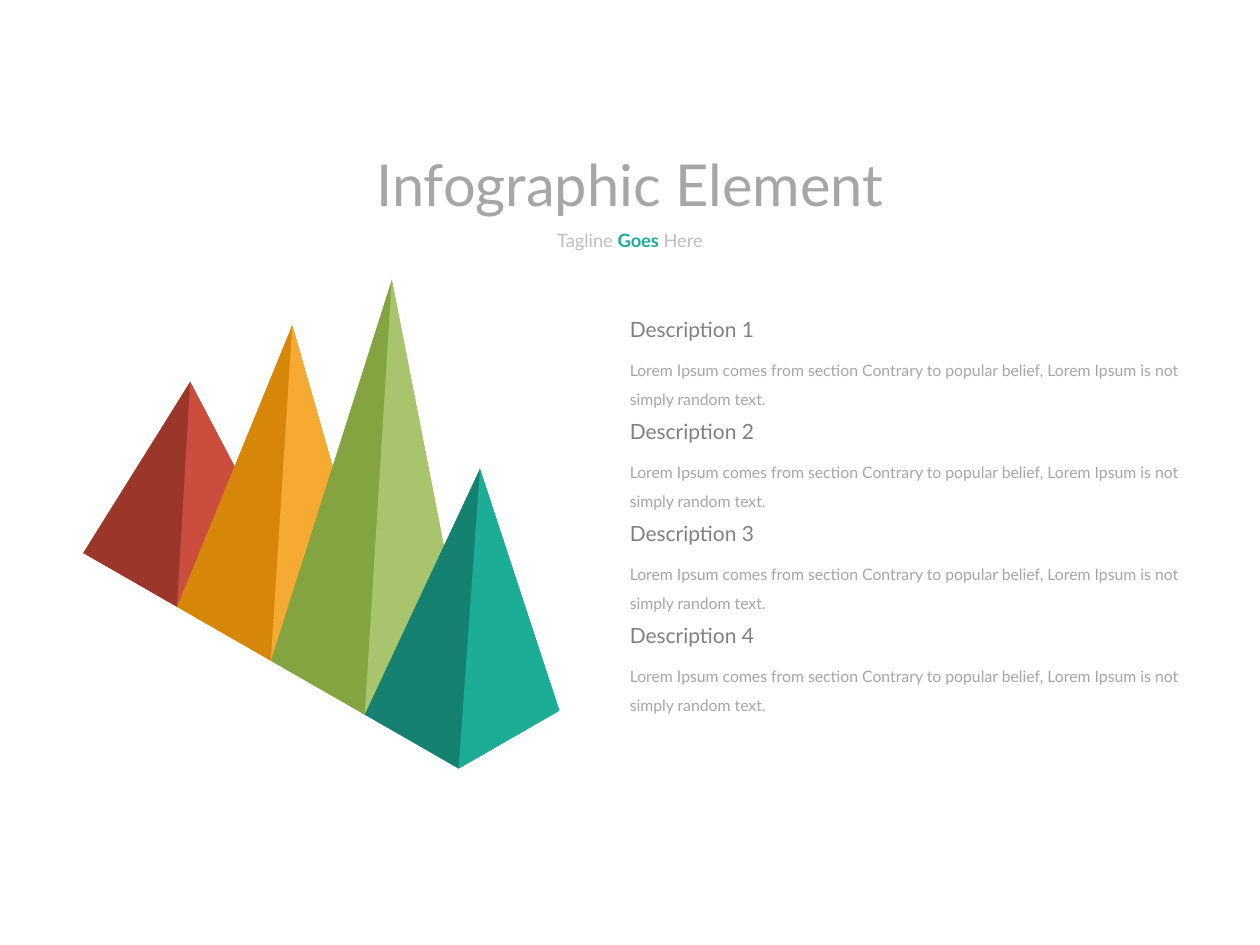
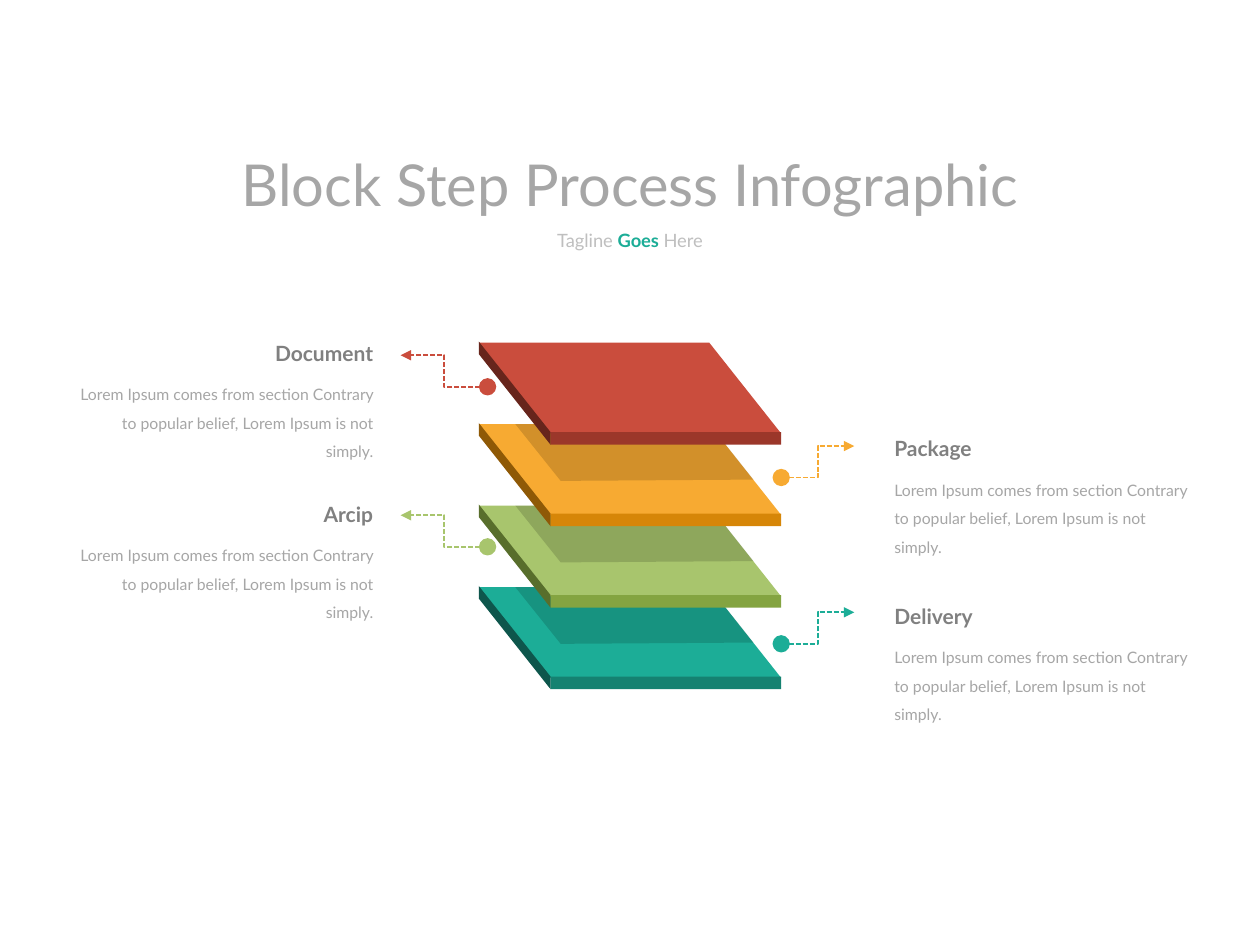
import dataclasses

import pptx
import pptx.dml.color
import pptx.enum.dml
import pptx.enum.shapes
import pptx.enum.text
import pptx.oxml
import pptx.oxml.ns
import pptx.util
from pptx.util import Inches

ALIGN = pptx.enum.text.PP_ALIGN


@dataclasses.dataclass(frozen=True)
class Tone:
    light: str
    mid: str
    dark: str


@dataclasses.dataclass(frozen=True)
class Theme:
    font: str = "Lato"
    title_size: float = 33
    tagline_size: float = 10.5
    heading_size: float = 12
    body_size: float = 9
    title: str = "A6A6A6"
    tagline: str = "BFBFBF"
    heading: str = "808080"
    body: str = "A6A6A6"
    shade: str = "000000"
    shade_opacity: int = 15
    red: Tone = Tone("CA4D3D", "9B372A", "67251C")
    orange: Tone = Tone("F7AA32", "D68608", "8F5906")
    green: Tone = Tone("A8C56D", "84A441", "586E2C")
    teal: Tone = Tone("1CAD97", "158271", "0E564C")


THEME = Theme()
TONES = (THEME.red, THEME.orange, THEME.green, THEME.teal)
HEADING_TO_BODY = 0.28


def rgb(color):
    return pptx.dml.color.RGBColor.from_string(color)


def write(sp, runs, *, size, color, bold=False, align=ALIGN.LEFT, spacing=None, wrap=False):
    tf = sp.text_frame
    tf.word_wrap = wrap
    tf.auto_size = pptx.enum.text.MSO_AUTO_SIZE.SHAPE_TO_FIT_TEXT
    tf.vertical_anchor = pptx.enum.text.MSO_ANCHOR.TOP
    p = tf.paragraphs[0]
    p.alignment = align
    if spacing:
        p.line_spacing = spacing
    if isinstance(runs, str):
        runs = [(runs, color, bold)]
    for text, run_color, run_bold in runs:
        r = p.add_run()
        r.text = text
        r.font.name = THEME.font
        r.font.size = pptx.util.Pt(size)
        r.font.bold = run_bold
        r.font.color.rgb = rgb(run_color)


def add_text(s, runs, left, top, width, height, **fmt):
    sp = s.shapes.add_textbox(Inches(left), Inches(top), Inches(width), Inches(height))
    write(sp, runs, **fmt)


def paint(sp, color, opacity=None):
    sp.shadow.inherit = False
    sp.fill.solid()
    sp.fill.fore_color.rgb = rgb(color)
    sp.line.fill.background()
    if opacity is not None:
        clr = sp.fill._xPr.find(".//" + pptx.oxml.ns.qn("a:srgbClr"))
        alpha = pptx.oxml.parse_xml(
            f'<a:alpha {pptx.oxml.ns.nsdecls("a")} val="{opacity * 1000}"/>')
        clr.append(alpha)


def add_polygon(shapes, points, color, opacity=None):
    start, *rest = [(Inches(x), Inches(y)) for x, y in points]
    builder = shapes.build_freeform(*start)
    builder.add_line_segments(rest, close=True)
    paint(builder.convert_to_shape(), color, opacity)


def add_titled_slide(prs, title, title_width):
    s = prs.slides.add_slide(prs.slide_layouts[5])
    sp = s.shapes.title
    sp.left, sp.top = Inches(5 - title_width / 2), Inches(1.13)
    sp.width, sp.height = Inches(title_width), Inches(0.66)
    write(sp, title, size=THEME.title_size, color=THEME.title, align=ALIGN.CENTER)
    tagline = [("Tagline ", THEME.tagline, False),
               ("Goes ", THEME.teal.light, True),
               ("Here", THEME.tagline, False)]
    add_text(s, tagline, 4.3, 1.77, 1.4, 0.28, size=THEME.tagline_size,
             color=THEME.tagline, align=ALIGN.CENTER)
    return s


def add_description(s, heading, body, left, top, width, height, heading_width,
                    align=ALIGN.LEFT, bold=False):
    heading_left = left + width - heading_width if align == ALIGN.RIGHT else left
    add_text(s, body, left, top + HEADING_TO_BODY, width, height, size=THEME.body_size,
             color=THEME.body, align=align, spacing=1.5, wrap=True)
    add_text(s, heading, heading_left, top, heading_width, 0.3, size=THEME.heading_size,
             color=THEME.heading, bold=bold, align=align)


def add_pyramid(s, index, apex, tone):
    left = (0.66 + 0.745 * index, 4.39 + 0.4275 * index)
    front = (left[0] + 0.745, left[1] + 0.4275)
    right = (front[0] + 0.8, front[1] - 0.46)
    add_polygon(s.shapes, [left, apex, right, front], tone.mid)
    add_polygon(s.shapes, [apex, front, right], tone.light)


def add_slab(s, top, tone, shaded):
    left, front_left, back_right, front_right = 3.8, 4.37, 5.63, 6.2
    depth, thickness = 0.72, 0.1
    edge = top - 0.01
    shapes = s.shapes.add_group_shape().shapes
    add_polygon(shapes, [(front_left, top + depth), (front_right, top + depth),
                         (back_right, top), (left, top)], tone.light)
    add_polygon(shapes, [(left, edge), (left, edge + thickness),
                         (front_left, edge + depth + thickness),
                         (front_left, edge + depth)], tone.dark)
    front = shapes.add_shape(pptx.enum.shapes.MSO_SHAPE.RECTANGLE,
                             Inches(front_left), Inches(edge + depth),
                             Inches(front_right - front_left), Inches(thickness))
    paint(front, tone.mid)
    if shaded:
        add_polygon(shapes, [(4.45, top + 0.45), (5.98, top + 0.44),
                             (back_right, top), (4.09, top)],
                    THEME.shade, THEME.shade_opacity)


def add_callout_line(s, start_x, end_x, start_y, color):
    c = s.shapes.add_connector(pptx.enum.shapes.MSO_CONNECTOR.ELBOW, Inches(start_x),
                               Inches(start_y), Inches(end_x), Inches(start_y - 0.25))
    c.line.width = pptx.util.Pt(1)
    c.line.color.rgb = rgb(color)
    c.line.dash_style = pptx.enum.dml.MSO_LINE.SQUARE_DOT
    ns = pptx.oxml.ns.nsdecls("a")
    ln = c.line._get_or_add_ln()
    for end, kind, size in (("headEnd", "oval", "lg"), ("tailEnd", "triangle", "med")):
        ln.append(pptx.oxml.parse_xml(
            f'<a:{end} {ns} type="{kind}" w="{size}" len="{size}"/>'))
    ln.getparent().append(pptx.oxml.parse_xml(f"<a:effectLst {ns}/>"))


def build_pyramids(prs):
    s = add_titled_slide(prs, "Infographic Element", 4.33)
    apexes = [(1.51, 3.03), (2.32, 2.58), (3.11, 2.22), (3.81, 3.72)]
    for i, (apex, tone) in enumerate(zip(apexes, TONES)):
        add_pyramid(s, i, apex, tone)
    body = ("Lorem Ipsum comes from section Contrary to popular belief, "
            "Lorem Ipsum is not simply random text.")
    for i in range(4):
        add_description(s, f"Description {i + 1}", body, 4.9, 2.46 + 0.81 * i,
                        4.64, 0.56, 1.2)


def build_block_steps(prs):
    s = add_titled_slide(prs, "Block Step Process Infographic", 6.65)
    for i, tone in reversed(list(enumerate(TONES))):
        add_slab(s, 2.72 + 1.94 / 3 * i, tone, shaded=i > 0)
    body = ("Lorem Ipsum comes from section Contrary to popular belief, "
            "Lorem Ipsum is not simply.")
    left_side = (3.87, 3.18, 0.49, ALIGN.RIGHT)
    right_side = (6.2, 6.78, 7, ALIGN.LEFT)
    callouts = [
        ("Document", 0.99, 2.65, 3.07, THEME.red, left_side),
        ("Arcip", 0.6, 3.93, 4.34, THEME.green, left_side),
        ("Package", 0.83, 3.41, 3.79, THEME.orange, right_side),
        ("Delivery", 0.83, 4.74, 5.11, THEME.teal, right_side),
    ]
    for heading, heading_width, top, line_y, tone, side in callouts:
        start_x, end_x, text_left, align = side
        add_callout_line(s, start_x, end_x, line_y, tone.light)
        add_description(s, heading, body, text_left, top, 2.57, 0.78, heading_width,
                        align=align, bold=True)


def main():
    prs = pptx.Presentation()
    prs.slide_width, prs.slide_height = Inches(10), Inches(7.5)
    build_pyramids(prs)
    build_block_steps(prs)
    prs.save("out.pptx")


if __name__ == "__main__":
    main()
